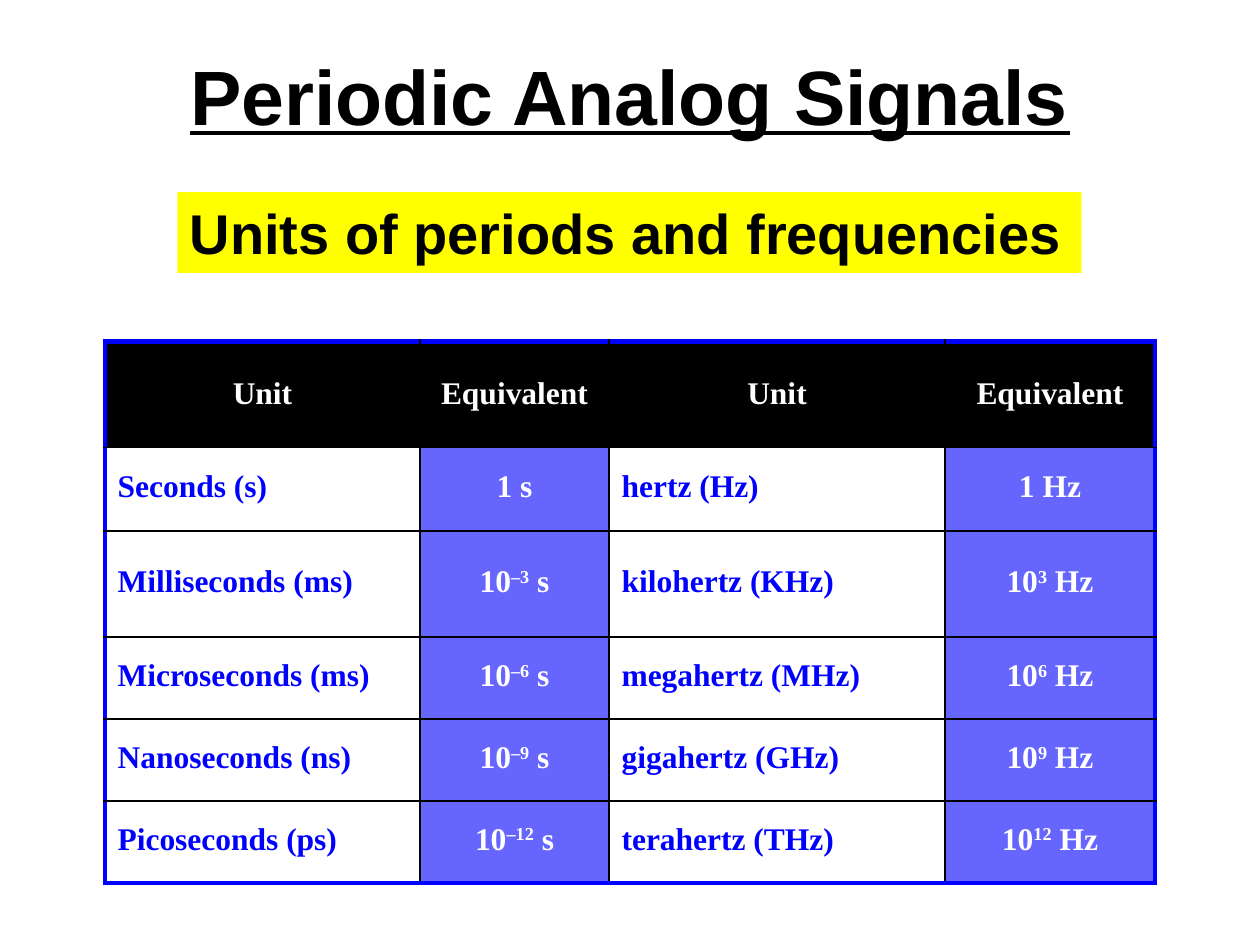
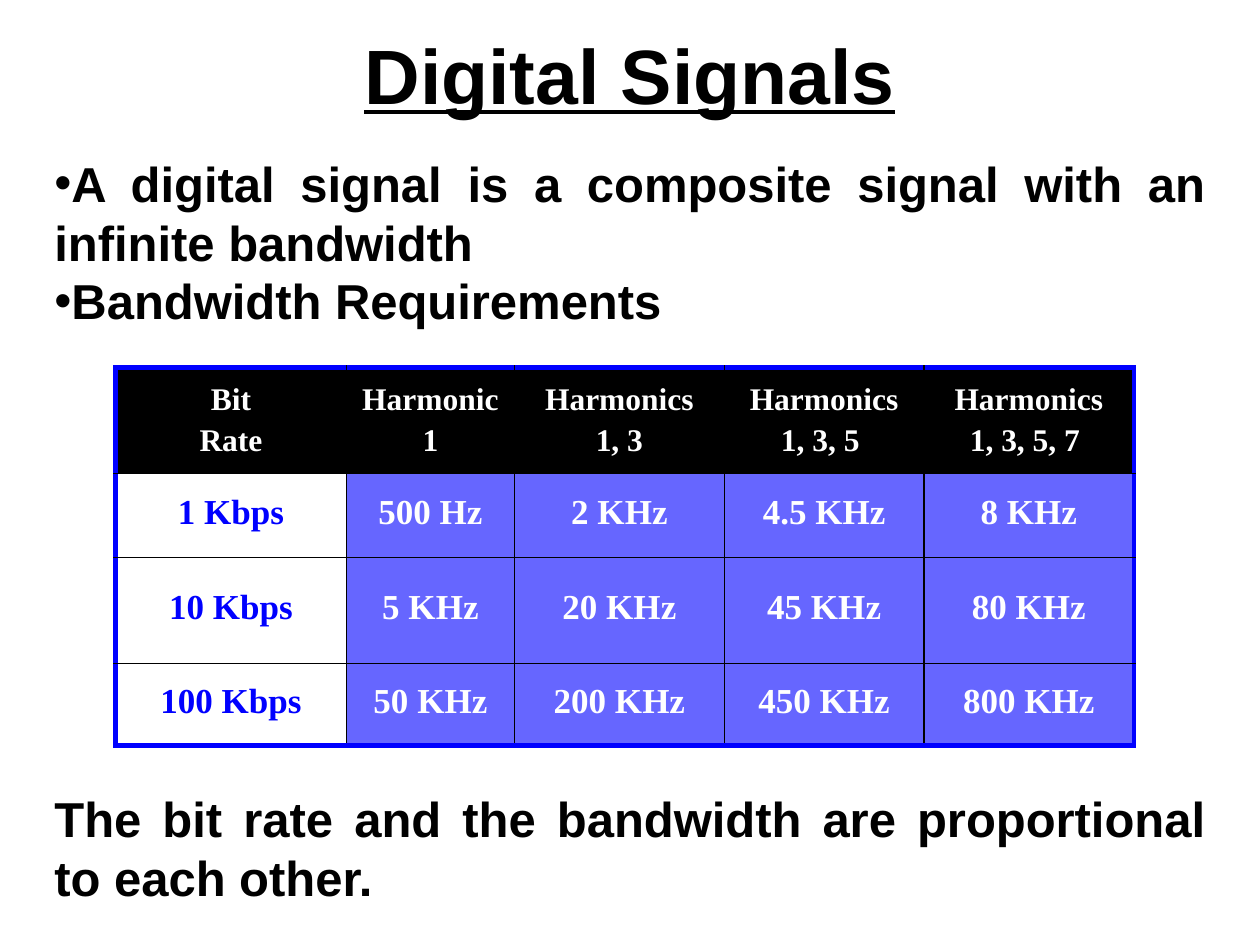
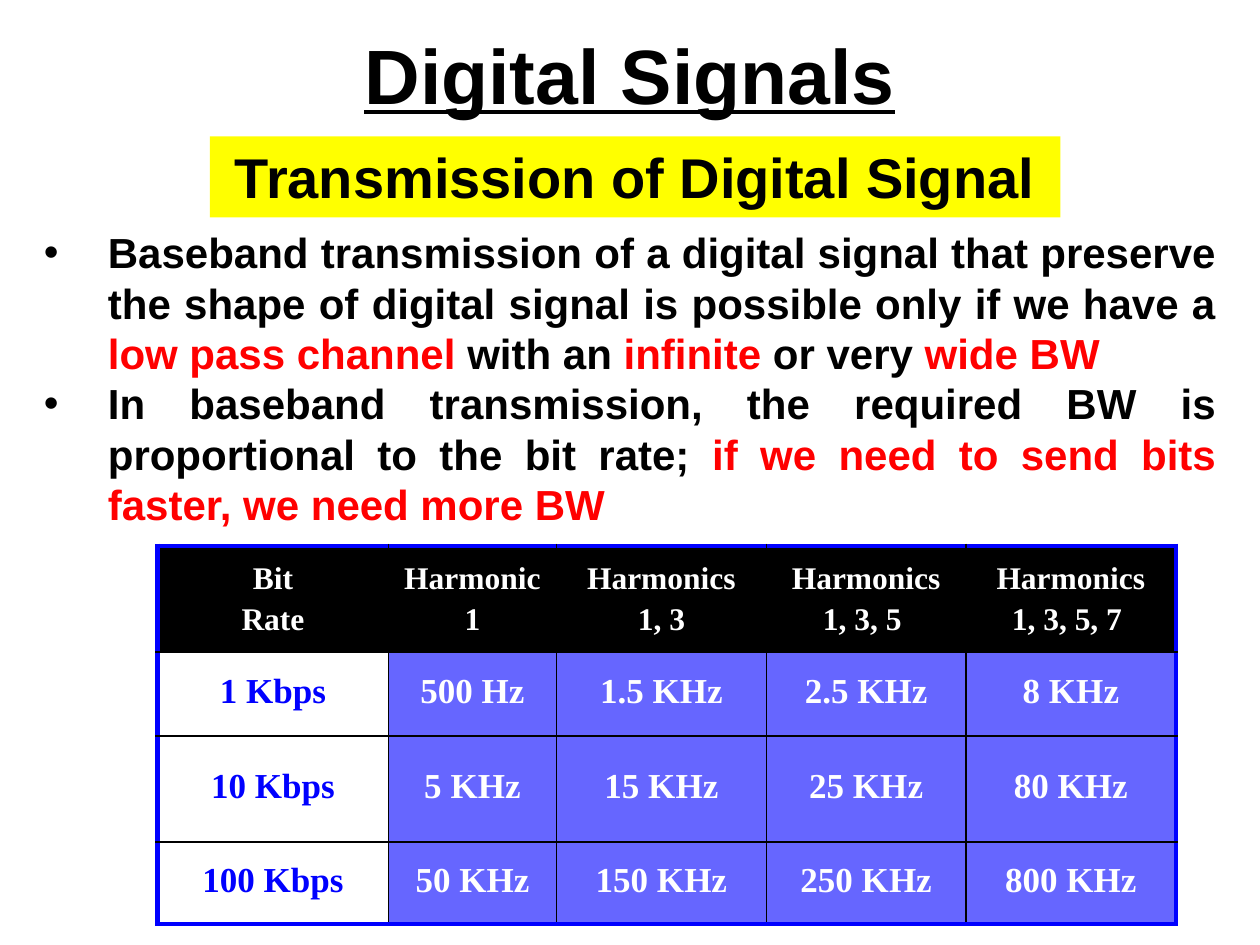
"""Build three slides on periodic analog and digital signals."""
from dataclasses import dataclass

from lxml import etree
from pptx import Presentation
from pptx import util as u
from pptx.dml.color import RGBColor
from pptx.enum import shapes, text
from pptx.oxml.ns import qn

EMU_PER_PX = 7620
BLACK, WHITE, YELLOW, RED = "000000", "FFFFFF", "FFFF00", "FF0000"
BLUE, VIOLET = "0000FF", "6666FF"
SANS, SERIF = "Arial", "Times New Roman"
LEFT, CENTER, JUSTIFY = text.PP_ALIGN.LEFT, text.PP_ALIGN.CENTER, text.PP_ALIGN.JUSTIFY
HARMONIC_HEADINGS = (
    "Bit\nRate", "Harmonic\n1", "Harmonics\n1, 3", "Harmonics\n1, 3, 5 ", "Harmonics\n1, 3, 5, 7 ",
)


@dataclass(frozen=True)
class Box:
    """A text block; parts between bars in a paragraph are shown in red."""

    left: int
    top: int
    width: int
    height: int
    paragraphs: tuple[str, ...]
    size: int
    align: text.PP_ALIGN = JUSTIFY
    fill: str | None = None
    wrap: bool = True
    underline: bool = False
    bullets: bool = False
    indent: int = 0


@dataclass(frozen=True)
class Grid:
    """A table with a black heading row; carets enclose superscripts."""

    left: int
    top: int
    columns: tuple[int, ...]
    row_heights: tuple[int, ...]
    rows: tuple[tuple[str, ...], ...]
    label_columns: tuple[int, ...]
    label_align: text.PP_ALIGN
    body_size: int


def px(length: int) -> u.Emu:
    """Turn pixels into EMU."""
    return u.Emu(length * EMU_PER_PX)


def color(hex_value: str) -> RGBColor:
    """Turn a hex string into a colour."""
    return RGBColor.from_string(hex_value)


def style_font(font, face: str, size: int, hex_value: str) -> None:
    """Set a bold font."""
    font.name, font.size, font.bold = face, u.Pt(size), True
    font.color.rgb = color(hex_value)


def add_bullet(paragraph, indent: int) -> None:
    """Give a paragraph a bullet with a hanging indent."""
    properties = paragraph._p.get_or_add_pPr()
    properties.set("marL", str(px(indent)))
    properties.set("indent", str(px(-indent)))
    etree.SubElement(properties, qn("a:buFont"), typeface=SANS)
    etree.SubElement(properties, qn("a:buChar"), char="•")


def draw_box(slide, box: Box) -> None:
    """Draw a text block, filled if it has a fill."""
    place = [px(side) for side in (box.left, box.top, box.width, box.height)]
    if box.fill:
        shape = slide.shapes.add_shape(shapes.MSO_SHAPE.RECTANGLE, *place)
        shape.shadow.inherit = False
        shape.fill.solid()
        shape.fill.fore_color.rgb = color(box.fill)
        shape.line.fill.background()
    else:
        shape = slide.shapes.add_textbox(*place)
    frame = shape.text_frame
    frame.word_wrap = box.wrap
    frame.vertical_anchor = text.MSO_ANCHOR.TOP
    frame.auto_size = text.MSO_AUTO_SIZE.NONE if box.underline else text.MSO_AUTO_SIZE.SHAPE_TO_FIT_TEXT
    frame.text = "\n".join(box.paragraphs)
    for paragraph in frame.paragraphs:
        parts = paragraph.text.split("|")
        paragraph.text = parts[0]
        paragraph.alignment = box.align
        if box.bullets:
            add_bullet(paragraph, box.indent)
        for part in filter(None, parts[1:]):
            paragraph.add_run().text = part
        for index, run in enumerate(paragraph.runs):
            style_font(run.font, SANS, box.size, RED if index % 2 else BLACK)
            run.font.underline = box.underline


def draw_title(slide, wording: str, top: int) -> None:
    """Draw the underlined slide title."""
    draw_box(slide, Box(90, top, 1020, 150, (wording,), 44, CENTER, underline=True))


def set_borders(cell, outer_sides: dict[str, bool]) -> None:
    """Rule a cell in thick blue on the outer sides and thin black inside."""
    properties = cell._tc.get_or_add_tcPr()
    for side, is_outer in outer_sides.items():
        line = etree.SubElement(properties, qn(f"a:ln{side}"), w=str(u.Pt(3 if is_outer else 1)))
        fill = etree.SubElement(line, qn("a:solidFill"))
        etree.SubElement(fill, qn("a:srgbClr"), val=BLUE if is_outer else BLACK)


def write_cell(cell, wording: str, size: int, hex_value: str, align: text.PP_ALIGN, heading: bool) -> None:
    """Write and format the text of a cell."""
    cell.vertical_anchor = text.MSO_ANCHOR.MIDDLE
    cell.text_frame.text = wording
    for number, paragraph in enumerate(cell.text_frame.paragraphs):
        parts = paragraph.text.split("^")
        paragraph.text = parts[0]
        paragraph.alignment = align
        if not heading:
            paragraph.line_spacing = 0.8
        elif number:
            paragraph.space_before = u.Pt(3.6)
        for part in parts[1:]:
            paragraph.add_run().text = part
        for index, run in enumerate(paragraph.runs):
            style_font(run.font, SERIF, size, hex_value)
            if index % 2:
                run._r.get_or_add_rPr().set("baseline", "30000")


def draw_grid(slide, grid: Grid) -> None:
    """Draw a table with its fills and rules."""
    last_row, last_column = len(grid.rows) - 1, len(grid.columns) - 1
    table = slide.shapes.add_table(
        last_row + 1, last_column + 1, px(grid.left), px(grid.top),
        px(sum(grid.columns)), px(sum(grid.row_heights)),
    ).table
    table.first_row = table.horz_banding = False
    for column, width in zip(table.columns, grid.columns):
        column.width = px(width)
    for row, height in zip(table.rows, grid.row_heights):
        row.height = px(height)
    for r, wordings in enumerate(grid.rows):
        for c, wording in enumerate(wordings):
            cell = table.cell(r, c)
            heading, label = r == 0, c in grid.label_columns
            background = BLACK if heading else WHITE if label else VIOLET
            ink = BLUE if label and not heading else WHITE
            align = grid.label_align if label and not heading else CENTER
            set_borders(cell, {"L": c == 0, "R": c == last_column, "T": r == 0, "B": r == last_row})
            cell.fill.solid()
            cell.fill.fore_color.rgb = color(background)
            write_cell(cell, wording, 18 if heading else grid.body_size, ink, align, heading)


def draw_harmonics(slide, left: int, top: int, rates: tuple[tuple[str, ...], ...]) -> None:
    """Draw the bandwidth needed by each bit rate."""
    draw_grid(slide, Grid(
        left, top, (220, 160, 200, 190, 200), (101, 80, 101, 78),
        (HARMONIC_HEADINGS, *rates), (0,), CENTER, 20,
    ))


def build_units(slide) -> None:
    """Build the slide on units of periods and frequencies."""
    draw_box(slide, Box(169, 183, 861, 77, ("Units of periods and frequencies",), 32, LEFT, YELLOW, wrap=False))
    draw_grid(slide, Grid(
        100, 325, (300, 180, 320, 200), (101, 80, 101, 78, 78, 78),
        (
            ("Unit", "Equivalent") * 2,
            ("Seconds (s)", "1 s", "hertz (Hz)", "1 Hz"),
            ("Milliseconds (ms)", "10^–3^ s", "kilohertz (KHz)", "10^3^ Hz"),
            ("Microseconds (ms)", "10^–6^ s", "megahertz (MHz)", "10^6^ Hz"),
            ("Nanoseconds (ns)", "10^–9^ s", "gigahertz (GHz)", "10^9^ Hz"),
            ("Picoseconds (ps)", "10^–12^ s", "terahertz (THz)", "10^12^ Hz"),
        ),
        (0, 2), LEFT, 18,
    ))
    draw_title(slide, "Periodic Analog Signals", 40)


def build_bandwidth(slide) -> None:
    """Build the slide on bandwidth requirements."""
    draw_box(slide, Box(40, 140, 1120, 181, (
        "A digital signal is a composite signal with an infinite bandwidth",
        "Bandwidth Requirements",
    ), 28, fill=WHITE, bullets=True))
    draw_title(slide, "Digital Signals", 20)
    draw_harmonics(slide, 110, 350, (
        ("1 Kbps", "500 Hz", "2 KHz", "4.5 KHz", "8 KHz"),
        ("10 Kbps", "5 KHz", "20 KHz", "45 KHz", "80 KHz"),
        ("100 Kbps", "50 KHz", "200 KHz", "450 KHz", "800 KHz"),
    ))
    draw_box(slide, Box(40, 745, 1120, 125, (
        "The bit rate and the bandwidth are proportional to each other.",
    ), 28, fill=WHITE))


def build_transmission(slide) -> None:
    """Build the slide on baseband transmission."""
    draw_box(slide, Box(200, 130, 810, 77, ("Transmission of Digital Signal",), 32, CENTER, YELLOW))
    draw_title(slide, "Digital Signals", 20)
    draw_box(slide, Box(30, 210, 1140, 302, (
        "Baseband transmission of a digital signal that preserve the shape of digital signal is possible "
        "only if we have a |low pass channel |with an |infinite| or very |wide BW",
        "In baseband transmission, the required BW is proportional to the bit rate; "
        "|if we need to send bits faster, we need more BW",
    ), 24, bullets=True, indent=61))
    draw_harmonics(slide, 150, 520, (
        ("1 Kbps", "500 Hz", "1.5 KHz", "2.5 KHz", "8 KHz"),
        ("10 Kbps", "5 KHz", "15 KHz", "25 KHz", "80 KHz"),
        ("100 Kbps", "50 KHz", "150 KHz", "250 KHz", "800 KHz"),
    ))


def main() -> None:
    """Build and save the presentation."""
    deck = Presentation()
    deck.slide_width, deck.slide_height = px(1200), px(900)
    for build in (build_units, build_bandwidth, build_transmission):
        build(deck.slides.add_slide(deck.slide_layouts[6]))
    deck.save("out.pptx")


if __name__ == "__main__":
    main()
